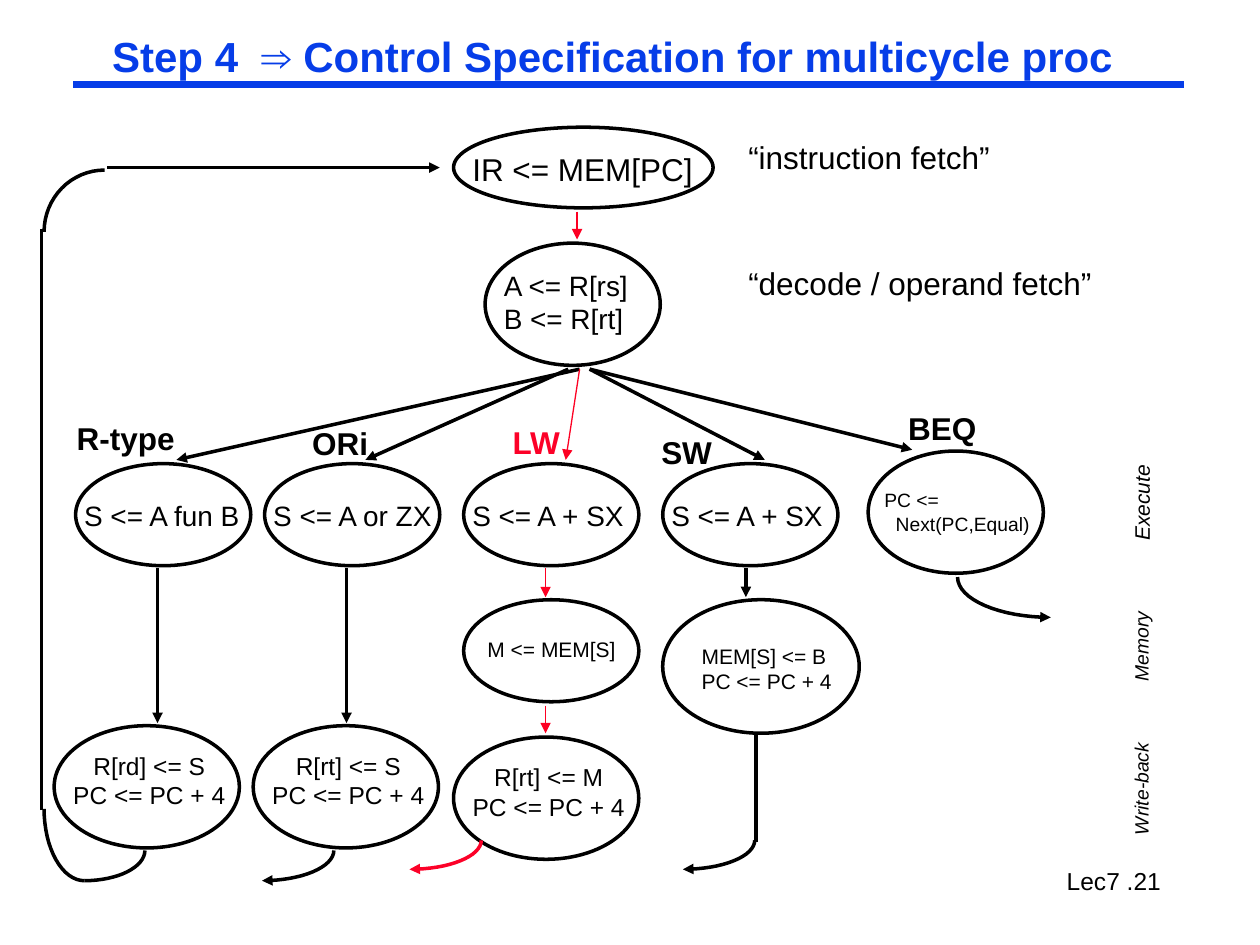
from math import cos, pi, sin

from lxml.etree import SubElement
from pptx import Presentation
from pptx.dml.color import RGBColor
from pptx.enum.shapes import MSO_CONNECTOR, MSO_SHAPE
from pptx.enum.text import MSO_ANCHOR, MSO_AUTO_SIZE, PP_ALIGN
from pptx.oxml.ns import qn
from pptx.util import Emu, Pt

PX = 9144  # 100 px to the inch
FONT = "Arial"
COLORS = {"ink": "000000", "blue": "063DE8", "red": "FC0128", "thin": "FD0023"}


def px(n):
    return Emu(round(n * PX))


def rgb(name):
    return RGBColor.from_string(COLORS[name])


def write(tf, text, size=18, color="ink", bold=False, italic=False,
          align=PP_ALIGN.LEFT, spacing=None, hang=0):
    """Fill a text frame, one paragraph a line; hang indents all but the first."""
    for i, line in enumerate(text.split("\n")):
        p = tf.add_paragraph() if i else tf.paragraphs[0]
        p.alignment = align
        if spacing:
            p.line_spacing = spacing
        if i and hang:
            p._p.get_or_add_pPr().set("marL", str(px(hang)))
        r = p.add_run()
        r.text = line
        r.font.name = FONT
        r.font.size = Pt(size)
        r.font.bold = bold
        r.font.italic = italic
        r.font.color.rgb = rgb(color)


class Diagram:
    def __init__(self, slide, line_width=2):
        self.s = slide
        self.line_width = line_width

    def stroke(self, sp, color, width=None, arrow=False):
        sp.line.color.rgb = rgb(color)
        sp.line.width = Pt(width or self.line_width)
        if arrow:
            SubElement(sp.line._get_or_add_ln(), qn("a:tailEnd"), type="triangle")

    def title(self, x, y, w, h, text):
        sp = self.s.shapes.title
        sp.left, sp.top, sp.width, sp.height = map(px, (x, y, w, h))
        tf = sp.text_frame
        tf.auto_size = MSO_AUTO_SIZE.NONE
        tf.vertical_anchor = MSO_ANCHOR.MIDDLE
        tf.margin_left = tf.margin_right = px(7)
        tf.margin_top = tf.margin_bottom = px(3)
        write(tf, text, size=24, color="blue", bold=True, spacing=0.87)

    def label(self, x, y, w, h, text, rotation=0, **fmt):
        """Text box whose free side has no margin, so each line fits."""
        sp = self.s.shapes.add_textbox(*map(px, (x, y, w, h)))
        sp.rotation = rotation
        tf = sp.text_frame
        tf.word_wrap = True
        tf.auto_size = MSO_AUTO_SIZE.NONE
        centred = fmt.get("align") == PP_ALIGN.CENTER
        tf.margin_left = px(0 if centred else 10)
        tf.margin_right = 0
        write(tf, text, **fmt)

    def oval(self, x, y, w, h):
        sp = self.s.shapes.add_shape(MSO_SHAPE.OVAL, *map(px, (x, y, w, h)))
        sp.shadow.inherit = False
        sp.fill.background()
        self.stroke(sp, "ink")

    def line(self, x1, y1, x2, y2, color="ink", width=None, arrow=True):
        sp = self.s.shapes.add_connector(
            MSO_CONNECTOR.STRAIGHT, *map(px, (x1, y1, x2, y2)))
        self.stroke(sp, color, width, arrow)
        SubElement(sp._element.spPr, qn("a:effectLst"))

    def thin_arrow(self, *ends):
        self.line(*ends, color="thin", width=0.75)

    def curve(self, x1, y1, x2, y2, color="ink", arrow=True, steps=16):
        """Quarter ellipse that leaves vertically and arrives horizontally."""
        angles = [pi / 2 * i / steps for i in range(steps + 1)]
        points = [(px(x2 + (x1 - x2) * cos(t)), px(y1 + (y2 - y1) * sin(t)))
                  for t in angles]
        builder = self.s.shapes.build_freeform(*points[0])
        builder.add_line_segments(points[1:], close=False)
        sp = builder.convert_to_shape()
        sp.shadow.inherit = False
        sp.fill.background()
        self.stroke(sp, color, arrow=arrow)


def main():
    prs = Presentation()
    prs.slide_width, prs.slide_height = px(1000), px(750)
    d = Diagram(prs.slides.add_slide(prs.slide_layouts[5]))

    d.line(58, 67, 940, 67, color="blue", width=3.75, arrow=False)
    d.title(82, 27, 817, 40, "Step 4  ⇒ Control Specification for multicycle proc")
    d.label(780, 682, 208, 29, "Lec7 .21", size=14, align=PP_ALIGN.CENTER)

    # Fetch and decode
    d.oval(360, 101, 206, 64)
    d.label(365, 114, 195, 40, "IR <= MEM[PC]")
    d.label(584, 105, 212, 40, "“instruction fetch”")
    d.thin_arrow(458, 168, 458, 190)
    d.oval(385, 193, 139, 97)
    d.label(390, 208, 120, 63, "A <= R[rs]\nB <= R[rt]", size=16)
    d.label(584, 205, 292, 40, "“decode / operand fetch”")

    # Branches to the instruction classes
    for x1, x2, y2 in ((460, 140, 365), (451, 290, 365),
                       (468, 607, 365), (468, 724, 357)):
        d.line(x1, 293, x2, y2)
    d.thin_arrow(460, 293, 449, 365)
    for x, y, w, text, color in ((51, 328, 98, "R-type", "ink"),
                                 (238, 332, 64, "ORi", "ink"),
                                 (397, 331, 59, "LW", "red"),
                                 (515, 339, 60, "SW", "ink"),
                                 (711, 320, 74, "BEQ", "ink")):
        d.label(x, y, w, 40, text, bold=True, color=color)

    # Execute
    for x, w, text in ((60, 146, "S <= A fun B"), (210, 148, "S <= A or ZX"),
                       (368, 142, "S <= A + SX"), (526, 142, "S <= A + SX")):
        d.oval(x, 368, 139, 81)
        d.label(x - 3, 391, w, 36, text, size=16)
    d.oval(689, 358, 139, 97)
    d.label(692, 383, 135, 46, "PC <=\nNext(PC,Equal)", size=11, hang=9)

    # Memory
    d.thin_arrow(433, 451, 433, 474)
    d.oval(368, 476, 139, 81)
    d.label(377, 500, 122, 30, "M <= MEM[S]", size=12)
    d.line(592, 451, 592, 474)
    d.oval(526, 476, 156, 106)
    d.label(547, 506, 123, 50, "MEM[S] <= B\nPC <= PC + 4", size=12)

    # Write-back
    for x in (125, 275):
        d.line(x, 451, x, 574)
    d.thin_arrow(433, 560, 433, 582)
    for x, y, target in ((43, 576, "R[rd] <= S"), (201, 576, "R[rt] <= S"),
                         (360, 585, "R[rt] <= M")):
        d.oval(x, y, 147, 97)
        d.label(x + 5, y + 15, 141, 56, target + "\nPC <= PC + 4",
                size=14, align=PP_ALIGN.CENTER)

    # Return to fetch
    d.curve(115, 675, 67, 699, arrow=False)
    d.curve(35, 642, 67, 699, arrow=False)
    d.line(33, 643, 33, 182, arrow=False)
    d.curve(35, 184, 83, 135, arrow=False)
    d.line(85, 133, 349, 133)
    d.curve(265, 675, 208, 699)
    d.curve(382, 667, 325, 690, color="red")
    d.line(600, 668, 600, 582, arrow=False)
    d.curve(599, 667, 542, 690)
    d.curve(760, 458, 834, 490)

    # Stage names
    for x, y, w, h, text, size in ((866, 384, 80, 30, "Execute", 12),
                                   (868, 499, 75, 28, "Memory", 11),
                                   (859, 612, 93, 28, "Write-back", 11)):
        d.label(x, y, w, h, text, rotation=270, size=size, italic=True)

    prs.save("out.pptx")


if __name__ == "__main__":
    main()
